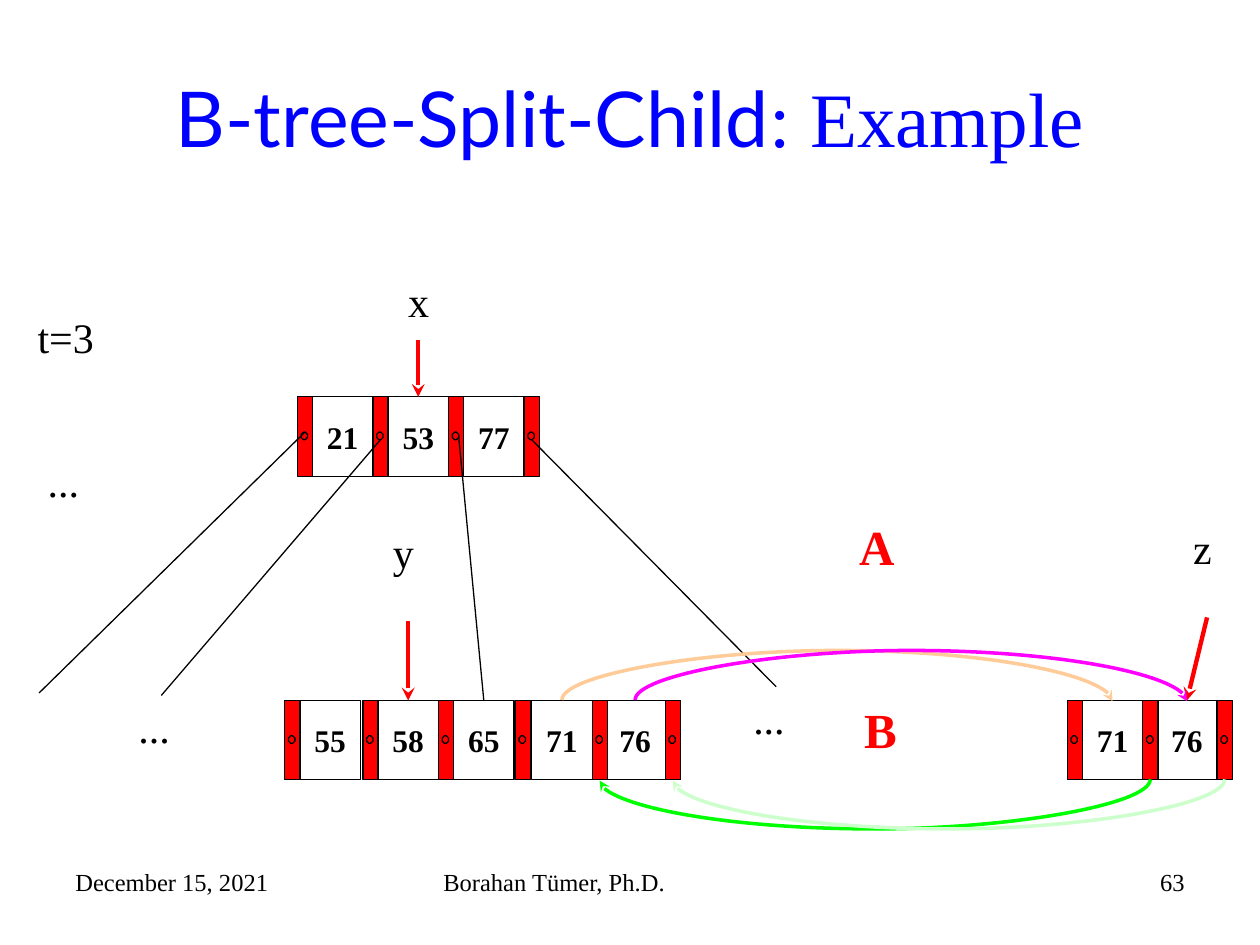
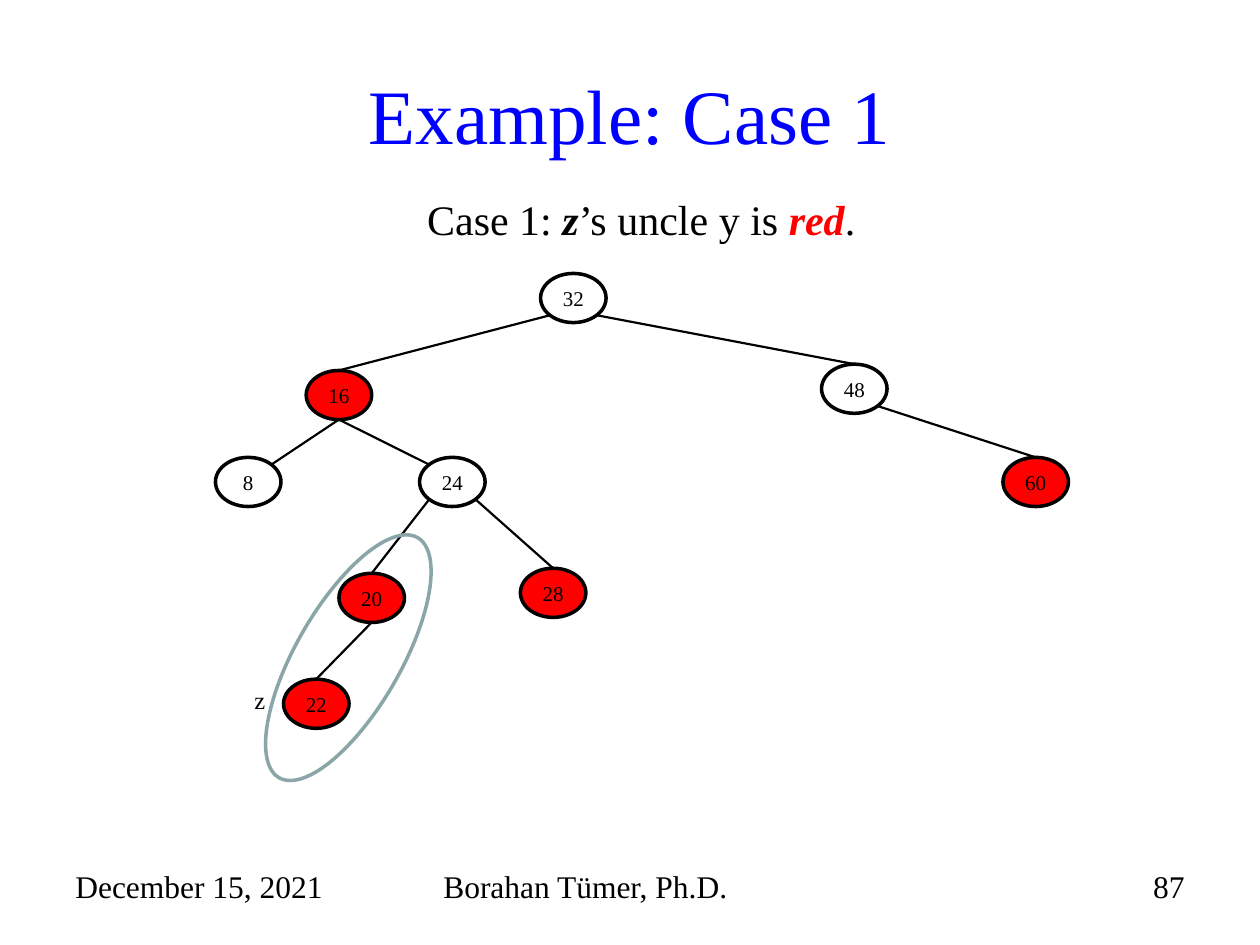
from lxml import etree
from pptx import Presentation
from pptx.dml.color import RGBColor
from pptx.enum import shapes, text
from pptx.oxml import ns
from pptx.util import Inches, Pt

BLACK, RED, BLUE = "000000", "FF0000", "0000FF"
SERIF, SANS = "Times New Roman", "Lato"
KIND, LINK, ALIGN = shapes.MSO_SHAPE, shapes.MSO_CONNECTOR, text.PP_ALIGN


def add_run(par, words, size, hue=BLACK, style="", face=SERIF):
    """Add one run; style may hold b for bold and i for italic."""
    run = par.add_run()
    run.text = words
    run.font.name, run.font.size = face, Pt(size)
    run.font.bold, run.font.italic = "b" in style, "i" in style
    run.font.color.rgb = RGBColor.from_string(hue)


def paint(item, width, hue=BLACK, fill=None, arrow=False):
    """Set line, fill and arrowhead of a shape or connector, without shadow."""
    item.line.width = Pt(width)
    item.line.color.rgb = RGBColor.from_string(hue)
    if fill:
        item.fill.solid()
        item.fill.fore_color.rgb = RGBColor.from_string(fill)
    elif hasattr(item, "fill"):
        item.fill.background()
    props = item._element.spPr
    if arrow:
        etree.SubElement(props.find(ns.qn("a:ln")), ns.qn("a:tailEnd"), type="stealth")
    etree.SubElement(props, ns.qn("a:effectLst"))


deck = Presentation()
deck.slide_width, deck.slide_height = Inches(10), Inches(7.5)

# Titles and footers
pages = [
    ([("B-tree-Split-Child", SANS), (": Example", SERIF)], 0.3, 14, "63"),
    ([("Example: Case 1", SERIF)], 0.28, 18, "87"),
]
slides = []
for heading, top, size, number in pages:
    slide = deck.slides.add_slide(deck.slide_layouts[5])
    slides.append(slide)
    title = slide.shapes.title
    title.left, title.top = Inches(0.5), Inches(top)
    title.width, title.height = Inches(9), Inches(1.25)
    frame = title.text_frame
    frame.auto_size = text.MSO_AUTO_SIZE.NONE
    frame.vertical_anchor = text.MSO_ANCHOR.MIDDLE
    frame.paragraphs[0].alignment = ALIGN.CENTER
    for words, face in heading:
        add_run(frame.paragraphs[0], words, 44, BLUE, face=face)
    for words, left, width, side in [
        ("December 15, 2021", 0.5, 2.33, ALIGN.LEFT),
        ("Borahan Tümer, Ph.D.", 3.42, 3.17, ALIGN.LEFT),
        (number, 7.17, 2.33, ALIGN.RIGHT),
    ]:
        box = slide.shapes.add_textbox(Inches(left), Inches(6.83), Inches(width), Inches(0.52))
        box.text_frame.word_wrap = True
        par = box.text_frame.paragraphs[0]
        par.alignment = side
        add_run(par, words, size)

# Slide 1: tree nodes, each a row of keys between pointers
art = slides[0].shapes
nodes = {
    "x": (3.15, [21, 53, 77], [2.48, 3.08, 3.68], [2.36, 2.96, 3.56, 4.16]),
    "y": (5.56, [55, 58, 65, 71, 76], [2.38, 3, 3.6, 4.22, 4.8],
          [2.26, 2.88, 3.48, 4.09, 4.7, 5.28]),
    "z": (5.56, [71, 76], [8.59, 9.18], [8.47, 9.07, 9.66]),
}
keys, slots = {}, {}
for name, (top, values, lefts, edges) in nodes.items():
    keys[name], slots[name] = [], []
    for value, left in zip(values, lefts):
        key = art.add_shape(KIND.RECTANGLE, Inches(left), Inches(top), Inches(0.48), Inches(0.63))
        paint(key, 0.75)
        key.text_frame.word_wrap = False
        key.text_frame.vertical_anchor = text.MSO_ANCHOR.MIDDLE
        par = key.text_frame.paragraphs[0]
        par.alignment = ALIGN.CENTER
        add_run(par, str(value), 18, style="b")
        keys[name].append(key)
    for left in edges:
        slot = art.add_shape(KIND.RECTANGLE, Inches(left), Inches(top), Inches(0.12), Inches(0.63))
        paint(slot, 0.75, fill=RED)
        slots[name].append(slot)
        dot = art.add_shape(KIND.OCTAGON, Inches(left + 0.03), Inches(top + 0.28),
                            Inches(0.05), Inches(0.06))
        dot.adjustments[0] = 0.35
        paint(dot, 0.75, fill=RED)

# Child links, then red arrows to the named nodes
for start, end, goal, hue, width in [
    ((2.42, 3.43), (0.31, 5.5), None, BLACK, 0.75),
    ((3.02, 3.49), (1.28, 5.52), None, BLACK, 0.75),
    ((3.64, 3.46), (3.84, 5.56), keys["y"][2], BLACK, 0.75),
    ((4.22, 3.49), (6.16, 5.45), None, BLACK, 0.75),
    ((3.32, 2.7), (3.32, 3.15), keys["x"][1], RED, 2.5),
    ((3.24, 4.93), (3.24, 5.56), keys["y"][1], RED, 2.5),
    ((9.58, 4.9), (9.42, 5.56), keys["z"][1], RED, 2.5),
]:
    link = art.add_connector(LINK.STRAIGHT, *map(Inches, start + end))
    if goal:
        link.end_connect(goal, 0)
    paint(link, width, hue, arrow=hue == RED)

# Curved moves from y to z: keys over the top, pointers underneath
moves = [
    (keys["y"][3], keys["z"][0], 0, "FFCC99"),
    (keys["y"][4], keys["z"][1], 0, "FF00FF"),
    (slots["y"][4], slots["z"][1], 2, "00FF00"),
    (slots["y"][5], slots["z"][2], 2, "CCFFCC"),
]
for source, goal, side, hue in moves:
    turn, flip, bend = (90, "flipV", -40) if side == 0 else (270, "flipH", 40)
    move = art.add_connector(LINK.CURVE, 0, 0, 0, 0)
    move.begin_connect(source, side)
    move.end_connect(goal, side)
    span, thin = move.end_x - move.begin_x, Inches(0.01)
    middle, level = move.begin_x + span // 2, move.begin_y
    move.left, move.top = middle - thin // 2, level - span // 2
    move.width, move.height = thin, span
    props = move._element.spPr
    props.xfrm.set("rot", str(turn * 60000))
    props.xfrm.set(flip, "1")
    guides = props.find(ns.qn("a:prstGeom")).find(ns.qn("a:avLst"))
    etree.SubElement(guides, ns.qn("a:gd"), name="adj1", fmla=f"val {bend * 100000}")
    paint(move, 2, hue, arrow=True)

for words, left, top, width in [
    ("x", 3.14, 2.14, 0.37), ("y", 3.02, 4.13, 0.37), ("z", 9.37, 4.1, 0.35),
    ("t=3", 0.2, 2.42, 0.65), ("...", 0.28, 3.57, 0.45), ("...", 1, 5.52, 0.45),
    ("...", 5.88, 5.45, 0.45), ("A", 6.72, 4.05, 0.48), ("B", 6.76, 5.5, 0.46),
]:
    big = words in "AB"
    box = art.add_textbox(Inches(left), Inches(top), Inches(width), Inches(0.57 if big else 0.5))
    box.text_frame.word_wrap = False
    add_run(box.text_frame.paragraphs[0], words, 28 if big else 24,
            RED if big else BLACK, "b" if big else "")

# Slide 2: red-black tree
art = slides[1].shapes
wide, high = 0.52, 0.39
spots = {32: (4.29, 2.17), 48: (6.52, 2.89), 16: (2.43, 2.94), 8: (1.71, 3.63),
         24: (3.33, 3.63), 60: (7.96, 3.63), 20: (2.69, 4.55), 28: (4.13, 4.51),
         22: (2.25, 5.39)}
for value, (left, top) in spots.items():
    node = art.add_shape(KIND.OVAL, Inches(left), Inches(top), Inches(wide), Inches(high))
    paint(node, 2, fill=RED if value in (16, 60, 20, 28, 22) else None)
    node.text_frame.vertical_anchor = text.MSO_ANCHOR.MIDDLE
    par = node.text_frame.paragraphs[0]
    par.alignment = ALIGN.CENTER
    add_run(par, str(value), 12)

# Points on the rim of a node, as shares of its width and height
rim = {"top": (0.5, 0), "foot": (0.5, 1), "nw": (0.15, 0.15), "ne": (0.85, 0.15),
       "sw": (0.15, 0.85), "se": (0.85, 0.85)}
for parent, out, child, into in [
    (32, "sw", 16, "top"), (32, "se", 48, "top"), (16, "foot", 8, "ne"),
    (16, "foot", 24, "nw"), (48, "se", 60, "top"), (24, "sw", 20, "top"),
    (24, "se", 28, "top"), (20, "foot", 22, "top"),
]:
    ends = []
    for value, spot in [(parent, out), (child, into)]:
        ends.append(Inches(spots[value][0] + wide * rim[spot][0]))
        ends.append(Inches(spots[value][1] + high * rim[spot][1]))
    paint(art.add_connector(LINK.STRAIGHT, *ends), 1.25)

ring = art.add_shape(KIND.OVAL, Inches(2.35), Inches(4.12), Inches(0.83), Inches(2.2))
ring.rotation = 30
paint(ring, 2, "8AA6A8")

for left, top, width, height, inset, size, runs in [
    (1.92, 5.39, 0.52, 0.34, 0.1, 14, [("z", BLACK, "")]),
    (2.79, 1.49, 5.45, 0.5, 0.6, 24, [
        ("Case 1: ", BLACK, ""), ("z", BLACK, "bi"), ("’s uncle y is ", BLACK, ""),
        ("red", RED, "bi"), (".", BLACK, "")]),
]:
    box = art.add_textbox(Inches(left), Inches(top), Inches(width), Inches(height))
    box.text_frame.word_wrap = True
    box.text_frame.margin_left = Inches(inset)
    for words, hue, style in runs:
        add_run(box.text_frame.paragraphs[0], words, size, hue, style)

deck.save("out.pptx")
